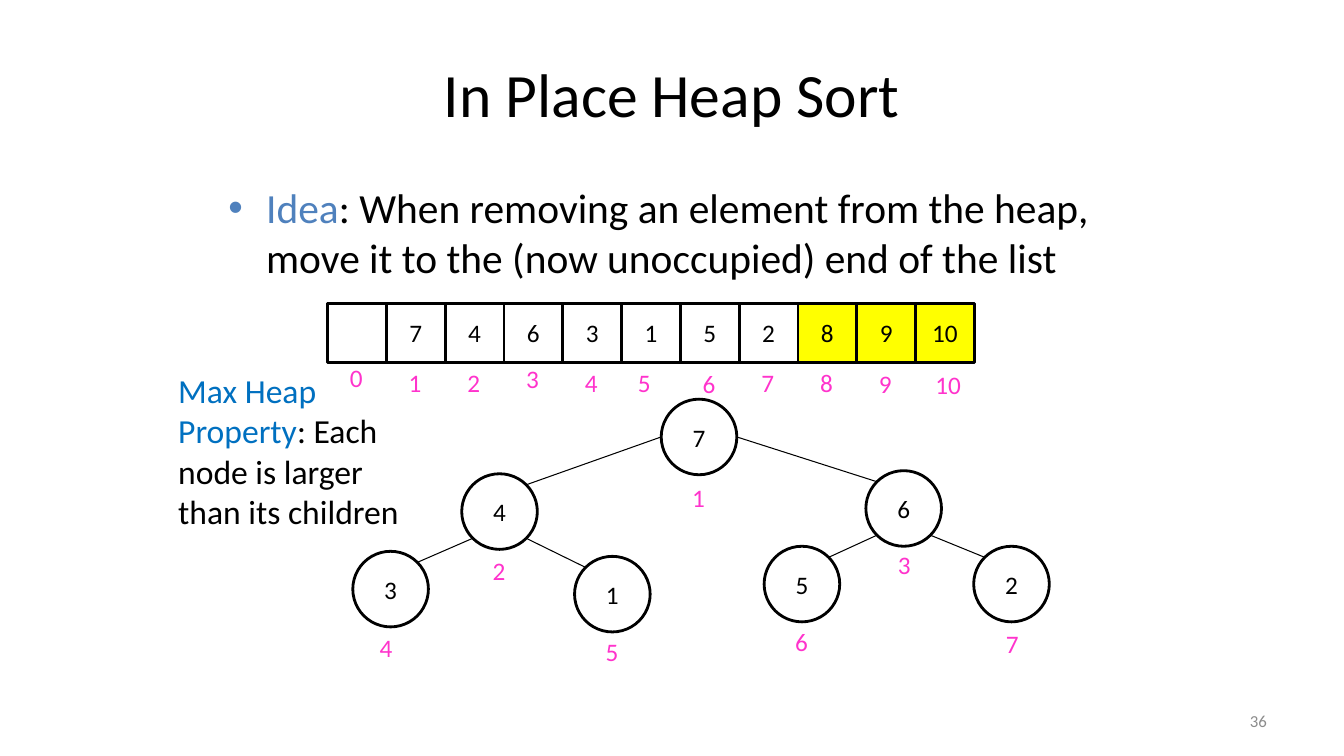
"""Build the slide that explains in-place heap sort with a list and its heap."""
import math
from dataclasses import dataclass
from typing import Any, Optional

import lxml.etree
import pptx
import pptx.dml.color
import pptx.enum.shapes
import pptx.enum.text
import pptx.oxml.ns
import pptx.util

Pt = pptx.util.Pt
RGBColor = pptx.dml.color.RGBColor
Shape = pptx.enum.shapes.MSO_SHAPE
Align = pptx.enum.text.PP_ALIGN
Anchor = pptx.enum.text.MSO_ANCHOR
qn = pptx.oxml.ns.qn

BLACK = RGBColor(0x00, 0x00, 0x00)
WHITE = RGBColor(0xFF, 0xFF, 0xFF)
YELLOW = RGBColor(0xFF, 0xFF, 0x00)
PINK = RGBColor(0xFF, 0x33, 0xCC)
SOFT_BLUE = RGBColor(0x4F, 0x81, 0xBD)
BLUE = RGBColor(0x00, 0x70, 0xC0)
GRAY = RGBColor(0x8C, 0x8C, 0x8C)

FONT = "Calibri"
CELL_SIZE = 42
LIST_LEFT, LIST_TOP = 234, 216.7
NODE_SIZE = 54
INDEX_WIDTH, INDEX_HEIGHT = 23.8, 29


@dataclass(frozen=True)
class Cell:
    value: str
    fill: Optional[RGBColor]
    index_top: float
    index_shift: float = 0


@dataclass(frozen=True)
class Node:
    value: str
    left: float
    top: float
    index_left: float
    index_top: float


@dataclass(frozen=True)
class Span:
    text: str
    color: RGBColor


CELLS = [
    Cell("", WHITE, 254.9),
    Cell("7", WHITE, 258.5),
    Cell("4", WHITE, 258.5),
    Cell("6", None, 256.3),
    Cell("3", WHITE, 258.5),
    Cell("1", None, 258.5, -4.2),
    Cell("5", None, 259.2),
    Cell("2", None, 258.5),
    Cell("8", YELLOW, 258.5),
    Cell("9", YELLOW, 259.2),
    Cell("10", YELLOW, 260.6, -1.8),
]

NODES = {
    1: Node("7", 472.3, 285.1, 487.4, 341.3),
    2: Node("4", 329.8, 338.4, 344.9, 393.1),
    3: Node("6", 618.5, 336.2, 634.3, 388.8),
    4: Node("3", 252, 393.8, 264.2, 447.8),
    5: Node("1", 410.4, 397.4, 425.5, 450.7),
    6: Node("5", 545.8, 390.2, 560.9, 443.5),
    7: Node("2", 695.5, 390.2, 711.4, 445),
}


def add_text(shapes: Any, box: tuple[float, float, float, float], spans: list[Span],
             size: float, align: Any = Align.LEFT, anchor: Any = Anchor.TOP,
             wrap: bool = True) -> Any:
    """Add a text box with one paragraph and return that paragraph."""
    frame = shapes.add_textbox(*map(Pt, box)).text_frame
    frame.word_wrap = wrap
    frame.vertical_anchor = anchor
    paragraph = frame.paragraphs[0]
    paragraph.alignment = align
    for span in spans:
        run = paragraph.add_run()
        run.text = span.text
        run.font.name = FONT
        run.font.size = Pt(size)
        run.font.color.rgb = span.color
    return paragraph


def add_index(shapes: Any, index: int, left: float, top: float) -> None:
    """Add a pink index label."""
    width = INDEX_WIDTH + 9.2 * (len(str(index)) - 1)
    add_text(shapes, (left, top, width, INDEX_HEIGHT), [Span(str(index), PINK)], 18, wrap=False)


def add_value(shapes: Any, kind: Any, left: float, top: float, size: float,
              value: str, fill: Optional[RGBColor]) -> None:
    """Add an outlined cell or node with its value centred."""
    holder = shapes.add_shape(kind, Pt(left), Pt(top), Pt(size), Pt(size))
    holder.shadow.inherit = False
    if fill is None:
        holder.fill.background()
    else:
        holder.fill.solid()
        holder.fill.fore_color.rgb = fill
    holder.line.color.rgb = BLACK
    holder.line.width = Pt(2)
    frame = holder.text_frame
    frame.word_wrap = False
    frame.vertical_anchor = Anchor.MIDDLE
    frame.text = value
    paragraph = frame.paragraphs[0]
    paragraph.alignment = Align.CENTER
    paragraph.font.name = FONT
    paragraph.font.size = Pt(18)
    paragraph.font.color.rgb = BLACK
    for run in paragraph.runs:
        run.font.name = FONT
        run.font.size = Pt(18)
        run.font.color.rgb = BLACK


def add_edge(shapes: Any, parent: Node, child: Node, from_root: bool) -> None:
    """Join a parent's side or lower corner to the child's upper corner."""
    radius = NODE_SIZE / 2
    corner = radius * math.sqrt(0.5)
    side = 1 if child.left > parent.left else -1
    exit_x, exit_y = (radius, 0) if from_root else (corner, corner)
    edge = shapes.add_connector(
        pptx.enum.shapes.MSO_CONNECTOR.STRAIGHT,
        Pt(parent.left + radius + side * exit_x), Pt(parent.top + radius + exit_y),
        Pt(child.left + radius - side * corner), Pt(child.top + radius - corner))
    edge.line.color.rgb = BLACK
    edge.line.width = Pt(0.75)
    lxml.etree.SubElement(edge._element.spPr, qn("a:effectLst"))


def add_bullet(paragraph: Any) -> None:
    """Give a paragraph a hanging bullet."""
    properties = paragraph._p.get_or_add_pPr()
    properties.set("marL", str(Pt(27)))
    properties.set("indent", str(-Pt(27)))
    lxml.etree.SubElement(properties, qn("a:buFont")).set("typeface", "Arial")
    lxml.etree.SubElement(properties, qn("a:buChar")).set("char", "•")


def main() -> None:
    """Draw and save the slide."""
    deck = pptx.Presentation()
    deck.slide_width, deck.slide_height = Pt(960), Pt(540)
    shapes = deck.slides.add_slide(deck.slide_layouts[6]).shapes

    add_text(shapes, (48, 21.6, 864, 90), [Span("In Place Heap Sort", BLACK)], 44,
             Align.CENTER, Anchor.MIDDLE)
    idea = add_text(shapes, (156, 126.7, 666, 96), [
        Span("Idea", SOFT_BLUE),
        Span(": When removing an element from the heap, move it to the "
             "(now unoccupied) end of the list", BLACK)], 29.6)
    idea.space_before = Pt(6)
    add_bullet(idea)
    add_text(shapes, (688, 500.5, 224, 28.8), [Span("36", GRAY)], 12,
             Align.RIGHT, Anchor.MIDDLE)

    for node in NODES.values():
        add_value(shapes, Shape.OVAL, node.left, node.top, NODE_SIZE, node.value, WHITE)
    for index, node in NODES.items():
        parent = index // 2
        if parent:
            add_edge(shapes, NODES[parent], node, parent == 1)
        add_index(shapes, index, node.index_left, node.index_top)

    heap_list = shapes.add_group_shape().shapes
    for index, cell in enumerate(CELLS):
        left = LIST_LEFT + index * CELL_SIZE
        add_value(heap_list, Shape.RECTANGLE, left, LIST_TOP, CELL_SIZE, cell.value, cell.fill)
        add_index(shapes, index, left + 8.8 + cell.index_shift, cell.index_top)

    add_text(shapes, (120.2, 260.6, 174.2, 123.8), [
        Span("Max Heap Property", BLUE),
        Span(": Each node is larger than its children", BLACK)], 24)
    deck.save("out.pptx")


if __name__ == "__main__":
    main()
